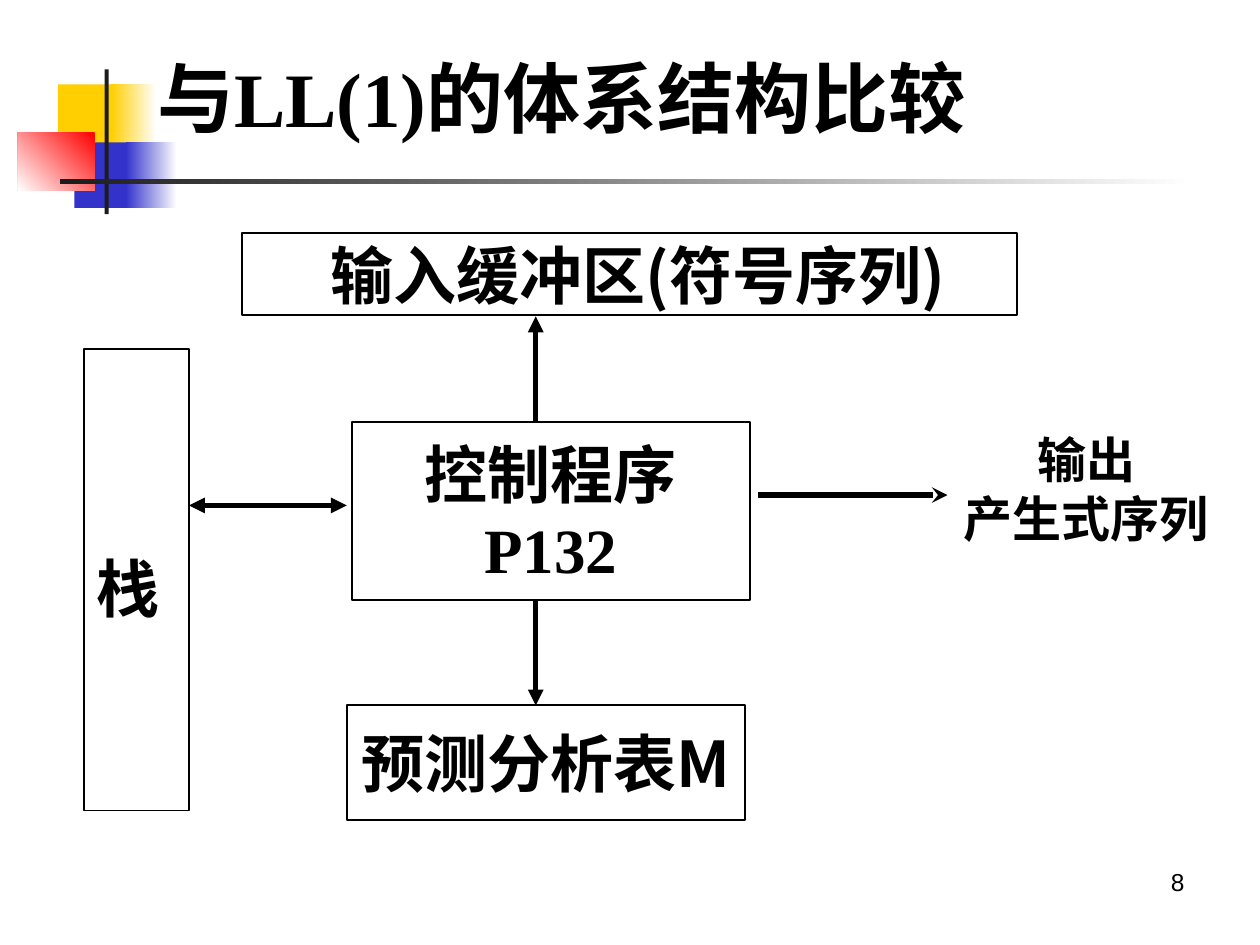
from pptx import Presentation
from pptx.dml.color import RGBColor
from pptx.enum.shapes import MSO_CONNECTOR, MSO_SHAPE
from pptx.enum.text import MSO_ANCHOR, PP_ALIGN
from pptx.oxml.ns import qn
from pptx.util import Cm, Pt
from lxml.etree import SubElement

BLACK = RGBColor(0x00, 0x00, 0x00)
WHITE = RGBColor(0xFF, 0xFF, 0xFF)
YELLOW = RGBColor(0xFF, 0xCF, 0x01)
BLUE = RGBColor(0x33, 0x33, 0xCC)
RED = RGBColor(0xFF, 0x00, 0x00)
CHARCOAL = RGBColor(0x1C, 0x1C, 0x1C)
CJK = "Noto Sans CJK SC"
SERIF = "Times New Roman"

deck = Presentation()
deck.slide_width, deck.slide_height = Cm(25.4), Cm(19.05)
page = deck.slides.add_slide(deck.slide_layouts[6])


def add_rectangle(left, top, width, height):
    box = page.shapes.add_shape(
        MSO_SHAPE.RECTANGLE, Cm(left), Cm(top), Cm(width), Cm(height))
    box.shadow.inherit = False
    return box


def write(box, lines, size, align, anchor, wrap, bold=True):
    frame = box.text_frame
    frame.word_wrap = wrap
    frame.vertical_anchor = anchor
    frame.text = "\n".join(text for text, font in lines)
    for para, (text, font) in zip(frame.paragraphs, lines):
        para.alignment = align
        span = para.runs[0]
        span.font.size = Pt(size)
        span.font.bold = bold
        span.font.name = font
        span.font.color.rgb = BLACK
        SubElement(span.font._element, qn("a:ea")).set("typeface", CJK)


decorations = [
    ((1.17, 1.7, 1.22, 1.32), [YELLOW], 0),
    ((2.24, 1.7, 0.91, 1.32), [WHITE, YELLOW], 180),
    ((1.5, 2.87, 1.17, 1.32), [BLUE], 0),
    ((2.54, 2.87, 1.02, 1.32), [WHITE, BLUE], 180),
    ((0.36, 2.67, 1.55, 1.17), [RED, WHITE], 225),
    ((2.11, 1.4, 0.08, 2.92), [CHARCOAL], 0),
    ((1.22, 3.61, 22.86, 0.1), [WHITE, CHARCOAL], 180),
]
for place, colors, angle in decorations:
    block = add_rectangle(*place)
    block.line.fill.background()
    if len(colors) == 1:
        block.fill.solid()
        block.fill.fore_color.rgb = colors[0]
    else:
        block.fill.gradient()
        block.fill.gradient_angle = angle
        for position, (stop, color) in enumerate(zip(block.fill.gradient_stops, colors)):
            stop.position = position
            stop.color.rgb = color

labels = [
    ((18.21, 17.35, 5.92, 1.32), [("8", "Arial")], 14, PP_ALIGN.RIGHT, MSO_ANCHOR.TOP, False),
    ((2.92, 0.91, 17.78, 2.08), [("与LL(1)的体系结构比较", SERIF)], 44,
     PP_ALIGN.LEFT, MSO_ANCHOR.MIDDLE, True),
    ((18.9, 8.53, 5.99, 2.64), [("输出", CJK), ("产生式序列", CJK)], 28,
     PP_ALIGN.CENTER, MSO_ANCHOR.TOP, True),
]
for place, lines, size, align, anchor, bold in labels:
    label = page.shapes.add_textbox(*[Cm(length) for length in place])
    write(label, lines, size, align, anchor, True, bold)

components = [
    ((4.88, 4.7, 15.62, 1.65), [("输入缓冲区(符号序列)", CJK)], PP_ALIGN.CENTER, 0.6, 1),
    ((1.7, 7.04, 2.11, 9.3), [("栈", CJK)], PP_ALIGN.LEFT, 0.25, 1.2),
    ((7.09, 8.51, 8.03, 3.58), [("控制程序", CJK), ("P132", SERIF)], PP_ALIGN.CENTER, 0.25, 1),
    ((6.99, 14.22, 8.03, 2.31), [("预测分析表M", CJK)], PP_ALIGN.CENTER, 0.25, 1),
]
for place, lines, align, margin, spacing in components:
    component = add_rectangle(*place)
    component.fill.background()
    component.line.color.rgb = BLACK
    component.line.width = Pt(1)
    write(component, lines, 36, align, MSO_ANCHOR.MIDDLE, False)
    component.text_frame.margin_left = Cm(margin)
    for para in component.text_frame.paragraphs:
        para.line_spacing = spacing

arrows = [
    ((10.8, 8.51, 10.8, 6.38), {"tailEnd": "triangle"}),
    ((6.99, 10.19, 3.81, 10.19), {"headEnd": "triangle", "tailEnd": "triangle"}),
    ((10.8, 14.22, 10.8, 12.09), {"headEnd": "triangle"}),
    ((15.29, 9.98, 19.1, 9.98), {"tailEnd": "stealth"}),
]
for ends, heads in arrows:
    arrow = page.shapes.add_connector(
        MSO_CONNECTOR.STRAIGHT, *[Cm(length) for length in ends])
    arrow.line.color.rgb = BLACK
    arrow.line.width = Pt(3)
    outline = arrow.line._get_or_add_ln()
    for end, kind in heads.items():
        SubElement(outline, qn(f"a:{end}")).set("type", kind)
    SubElement(arrow._element.spPr, qn("a:effectLst"))

deck.save("out.pptx")
